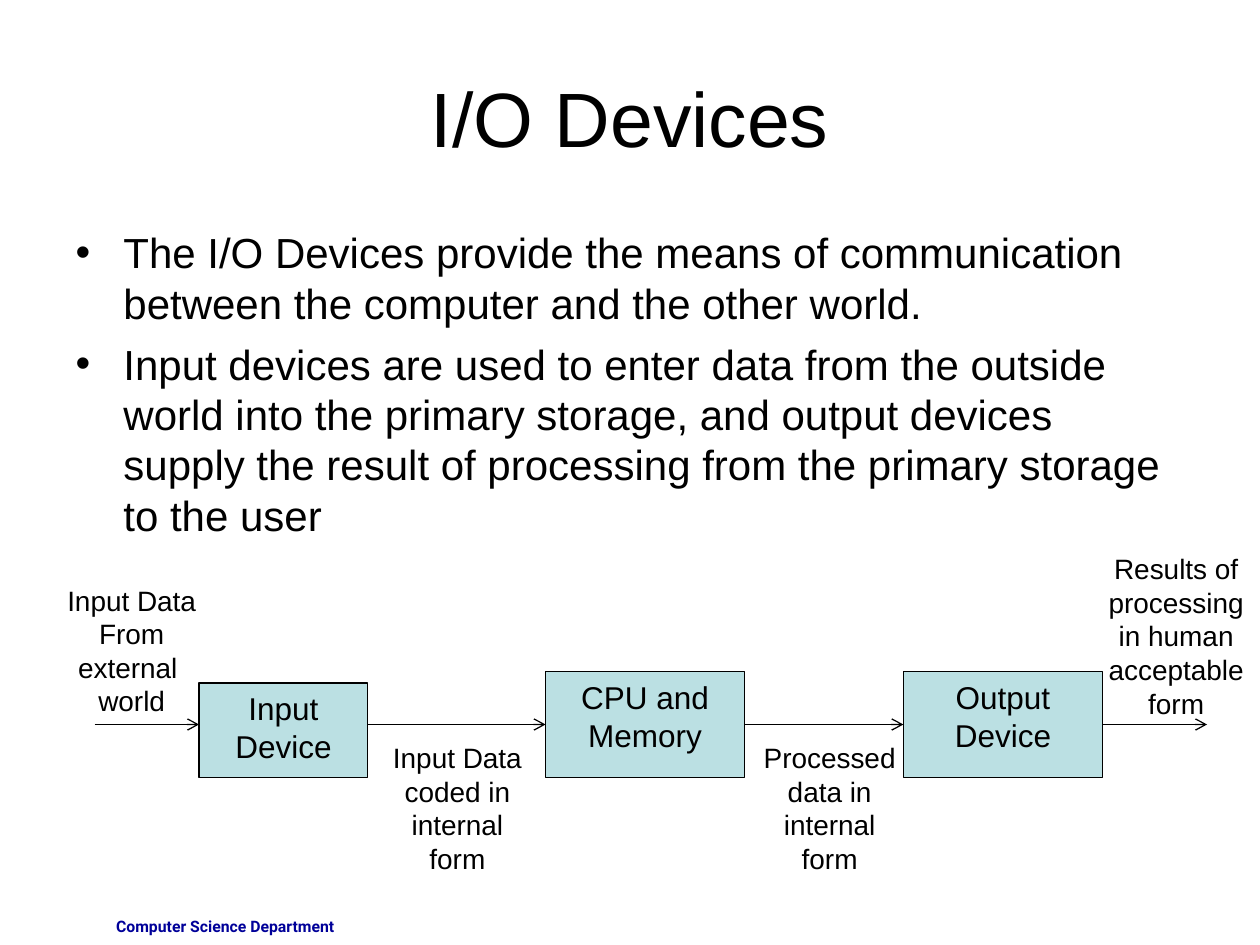
from typing import NamedTuple

from lxml import etree
from pptx import Presentation
from pptx.dml.color import RGBColor
from pptx.enum.shapes import MSO_CONNECTOR, MSO_SHAPE
from pptx.enum.text import MSO_ANCHOR, MSO_AUTO_SIZE, PP_ALIGN
from pptx.oxml.ns import qn
from pptx.util import Inches, Pt

STRAIGHT = MSO_CONNECTOR.STRAIGHT
RECTANGLE = MSO_SHAPE.RECTANGLE
TOP, MIDDLE = MSO_ANCHOR.TOP, MSO_ANCHOR.MIDDLE
FIXED, GROW = MSO_AUTO_SIZE.NONE, MSO_AUTO_SIZE.SHAPE_TO_FIT_TEXT
LEFT, CENTER, RIGHT = PP_ALIGN.LEFT, PP_ALIGN.CENTER, PP_ALIGN.RIGHT

BLACK = RGBColor(0x00, 0x00, 0x00)
PALE_TEAL = RGBColor(0xBB, 0xE0, 0xE3)
NAVY = RGBColor(0x00, 0x00, 0x99)

FLOW_Y = 5.75
LEFT_SIDE, RIGHT_SIDE = 1, 3


class Area(NamedTuple):
    left: float
    top: float
    width: float
    height: float

    def lengths(self) -> list:
        return [Inches(value) for value in self]


class Stage(NamedTuple):
    text: str
    area: Area


class FlowLabel(NamedTuple):
    lines: list[str]
    area: Area


class Flow(NamedTuple):
    start: float
    end: float
    source: int | None = None  # stage joined at its right side
    target: int | None = None  # stage joined at its left side


TITLE_AREA = Area(0.5, 0.3, 9, 1.25)
BODY_AREA = Area(0.5, 1.75, 9, 4.95)
DEPARTMENT_AREA = Area(0.42, 7.23, 2.33, 0.27)

POINTS = [
    "The I/O Devices provide the means of communication between the computer "
    "and the other world.",
    "Input devices are used to enter data from the outside world into the "
    "primary storage, and output devices supply the result of processing from "
    "the primary storage to the user",
]
STAGES = [
    Stage("Input Device", Area(1.58, 5.42, 1.34, 0.75)),
    Stage("CPU and Memory", Area(4.33, 5.33, 1.58, 0.84)),
    Stage("Output Device", Area(7.17, 5.33, 1.58, 0.84)),
]
# The first box is centred below the flow line, so its arrows stay unjoined
FLOWS = [
    Flow(0.75, 1.58),
    Flow(2.92, 4.33, target=1),
    Flow(5.91, 7.17, source=1, target=2),
    Flow(8.75, 9.58, source=2),
]
FLOW_LABELS = [
    FlowLabel(["Input Data ", "From external ", "world"], Area(0.42, 4.58, 1.25, 1.17)),
    FlowLabel(["Input Data coded in internal form"], Area(2.92, 5.83, 1.42, 1.17)),
    FlowLabel(["Processed data in internal form"], Area(5.92, 5.83, 1.33, 1.17)),
    FlowLabel(["Results of processing in human acceptable form"],
              Area(8.67, 4.33, 1.33, 1.44)),
]


def write(shape, lines: list[str], size: float, align=CENTER, anchor=TOP,
          autosize=FIXED, font="Arial", color=BLACK, bold=False, bullets=False) -> None:
    frame = shape.text_frame
    frame.text = "\n".join(lines)
    frame_format = {"word_wrap": True, "auto_size": autosize, "vertical_anchor": anchor}
    for name, value in frame_format.items():
        setattr(frame, name, value)
    font_format = {"name": font, "size": Pt(size), "bold": bold}
    for index, paragraph in enumerate(frame.paragraphs):
        if bullets:
            add_bullet(paragraph)
        paragraph.alignment = align
        paragraph.space_before = Pt(6 if bullets and index else 0)
        for name, value in font_format.items():
            setattr(paragraph.font, name, value)
        paragraph.font.color.rgb = color


def add_bullet(paragraph) -> None:
    properties = paragraph._p.get_or_add_pPr()
    properties.set("marL", str(Inches(0.38)))
    properties.set("indent", str(Inches(-0.38)))
    etree.SubElement(properties, qn("a:buChar"), char="•")


def place(shape, area: Area) -> None:
    for name, value in zip(area._fields, area.lengths()):
        setattr(shape, name, value)


def add_stage(slide, stage: Stage):
    box = slide.shapes.add_shape(RECTANGLE, *stage.area.lengths())
    box.shadow.inherit = False
    box.fill.solid()
    box.fill.fore_color.rgb = PALE_TEAL
    box.line.color.rgb = BLACK
    box.line.width = Pt(0.75)
    write(box, [stage.text], 18)
    return box


def add_flow(slide, flow: Flow, boxes: list) -> None:
    arrow = slide.shapes.add_connector(
        STRAIGHT, Inches(flow.start), Inches(FLOW_Y), Inches(flow.end), Inches(FLOW_Y))
    if flow.source is not None:
        arrow.begin_connect(boxes[flow.source], RIGHT_SIDE)
    if flow.target is not None:
        arrow.end_connect(boxes[flow.target], LEFT_SIDE)
    arrow.line.color.rgb = BLACK
    arrow.line.width = Pt(0.75)
    etree.SubElement(arrow.line._get_or_add_ln(), qn("a:tailEnd"), type="arrow")
    etree.SubElement(arrow._element.spPr, qn("a:effectLst"))


def main() -> None:
    presentation = Presentation()
    presentation.slide_width = Inches(10)
    presentation.slide_height = Inches(7.5)
    slide = presentation.slides.add_slide(presentation.slide_layouts[1])

    # Department line
    department = slide.shapes.add_textbox(*DEPARTMENT_AREA.lengths())
    write(department, ["Computer Science Department"], 9, align=RIGHT,
          font="Roboto", color=NAVY, bold=True)

    # Title and bullet points
    title, body = slide.placeholders
    place(title, TITLE_AREA)
    write(title, ["I/O Devices"], 44, anchor=MIDDLE)
    place(body, BODY_AREA)
    write(body, POINTS, 24, align=LEFT, bullets=True)

    # Data flow from input to output
    boxes = [add_stage(slide, stage) for stage in STAGES]
    for flow in FLOWS:
        add_flow(slide, flow, boxes)
    for label in FLOW_LABELS:
        caption = slide.shapes.add_textbox(*label.area.lengths())
        write(caption, label.lines, 16, autosize=GROW)

    presentation.save("out.pptx")


if __name__ == "__main__":
    main()
